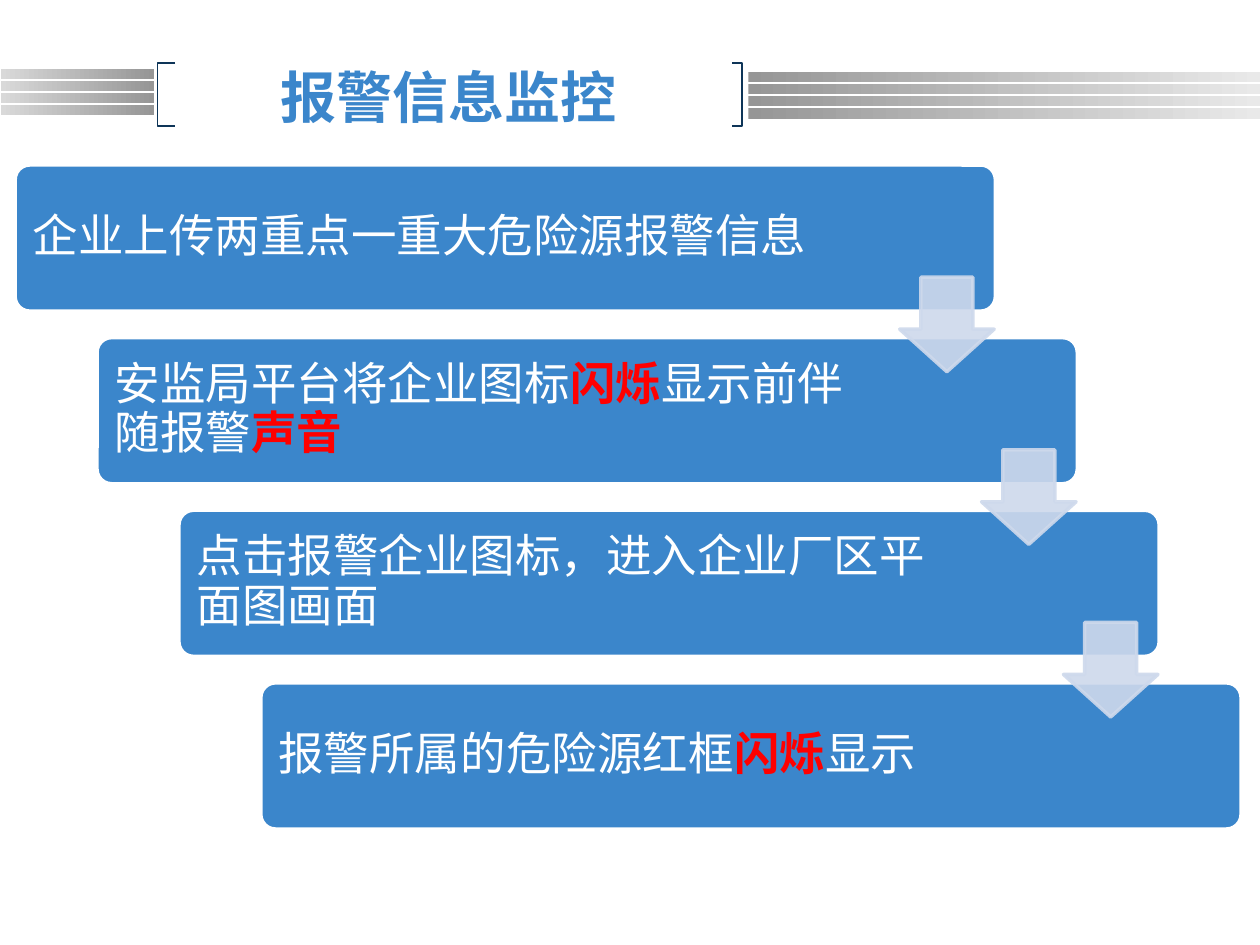
"""Build the alarm monitoring slide with its staircase of four steps."""
import pptx
import pptx.dml.color
import pptx.enum.shapes
import pptx.enum.text
import pptx.oxml.ns
import pptx.util
from lxml import etree

Inches = pptx.util.Inches
Pt = pptx.util.Pt
Kind = pptx.enum.shapes.MSO_SHAPE
Text = pptx.enum.text
qn = pptx.oxml.ns.qn

COLORS = {
    "blue": "3B86CB", "navy": "0E3558", "white": "FFFFFF", "red": "FF0000",
    "pale": "CED9EC", "light": "D9D9D9", "grey": "969696", "mist": "E9E9E9",
}
STEPS = [
    [("企业上传两重点一重大危险源报警信息", False)],
    [("安监局平台将企业图标", False), ("闪烁", True),
     ("显示前伴随报警", False), ("声音", True)],
    [("点击报警企业图标，进入企业厂区平面图画面", False)],
    [("报警所属的危险源红框", False), ("闪烁", True), ("显示", False)],
]


class Deck:
    def __init__(self):
        self.show = pptx.Presentation()
        self.show.slide_width, self.show.slide_height = Inches(10), Inches(7.5)
        self.slide = self.show.slides.add_slide(self.show.slide_layouts[5])
        self.shapes = self.slide.shapes
        self.cjk = "Noto Sans CJK SC"
        self.latin = "Arial"

    def color(self, name):
        return pptx.dml.color.RGBColor.from_string(COLORS[name])

    def shape(self, kind, left, top, width, height):
        shape = self.shapes.add_shape(
            kind, Inches(left), Inches(top), Inches(width), Inches(height))
        shape.shadow.inherit = False
        return shape

    def paint(self, shape, fill, line):
        shape.fill.solid()
        shape.fill.fore_color.rgb = self.color(fill)
        shape.line.color.rgb = self.color(line)
        shape.line.width = Pt(2)

    def stripe(self, left, top, width, start, end):
        bar = self.shape(Kind.RECTANGLE, left, top, width, 0.08)
        bar.line.fill.background()
        bar.fill.gradient()
        bar.fill.gradient_angle = 0
        for stop, name in zip(bar.fill.gradient_stops, (start, end)):
            stop.color.rgb = self.color(name)

    def bracket(self, tip, side):
        pen = self.shapes.build_freeform(Inches(tip), Inches(0.5))
        ends = [(side, 0.5), (side, 1), (tip, 1)]
        pen.add_line_segments([(Inches(x), Inches(y)) for x, y in ends], close=False)
        shape = pen.convert_to_shape()
        shape.shadow.inherit = False
        shape.fill.background()
        shape.line.color.rgb = self.color("navy")
        shape.line.width = Pt(0.75)

    def title(self, words):
        title = self.shapes.title
        title.left, title.top = Inches(1.31), Inches(0.5)
        title.width, title.height = Inches(4.5), Inches(0.53)
        frame = title.text_frame
        frame.text = words
        frame.auto_size = Text.MSO_AUTO_SIZE.NONE
        frame.vertical_anchor = Text.MSO_ANCHOR.MIDDLE
        frame.paragraphs[0].alignment = Text.PP_ALIGN.CENTER
        font = frame.paragraphs[0].runs[0].font
        self.style(font, 32, "blue", True, self.cjk)

    def style(self, font, size, color, bold, face):
        font.size, font.bold, font.name = Pt(size), bold, face
        font.color.rgb = self.color(color)
        props = font._element if hasattr(font, "_element") else font._rPr
        east = etree.Element(qn("a:ea"), typeface=self.cjk)
        props.find(qn("a:latin")).addnext(east)

    def panel(self, left, top):
        box = self.shape(Kind.ROUNDED_RECTANGLE, left, top, 7.78, 1.16)
        box.adjustments[0] = 0.1
        self.paint(box, "blue", "white")

    def label(self, left, top, width, parts):
        box = self.shapes.add_textbox(
            Inches(left), Inches(top), Inches(width), Inches(1.09))
        frame = box.text_frame
        frame.word_wrap = True
        frame.vertical_anchor = Text.MSO_ANCHOR.MIDDLE
        frame.margin_left = frame.margin_right = Inches(0.11)
        frame.margin_top = frame.margin_bottom = Inches(0.11)
        para = frame.paragraphs[0]
        para.line_spacing = 0.9
        for words, alert in parts:
            run = para.add_run()
            run.text = words
            self.style(run.font, 26, "red" if alert else "white", alert, self.latin)

    def arrow(self, left, top):
        arrow = self.shape(Kind.DOWN_ARROW, left, top, 0.75, 0.75)
        arrow.adjustments[0], arrow.adjustments[1] = 0.55, 0.45
        self.paint(arrow, "pale", "pale")
        for tint in arrow._element.spPr.iter(qn("a:srgbClr")):
            etree.SubElement(tint, qn("a:alpha"), val="90000")


def main():
    deck = Deck()
    for row in range(4):
        deck.stripe(0.01, 0.55 + 0.095 * row, 1.21, "light", "grey")
        deck.stripe(5.94, 0.57 + 0.097 * row, 4.06, "grey", "mist")
    deck.bracket(1.39, 1.25)
    deck.bracket(5.81, 5.89)
    deck.title("报警信息监控")

    across, down = 0.65, 1.37
    for step, parts in enumerate(STEPS):
        left, top = 0.12 + across * step, 1.31 + down * step
        deck.panel(left, top)
        deck.label(left + 0.03, top + 0.03, 6.31 if step else 6.43, parts)
    for step in range(len(STEPS) - 1):
        deck.arrow(7.14 + across * step, 2.2 + down * step)
    deck.show.save("out.pptx")


if __name__ == "__main__":
    main()
